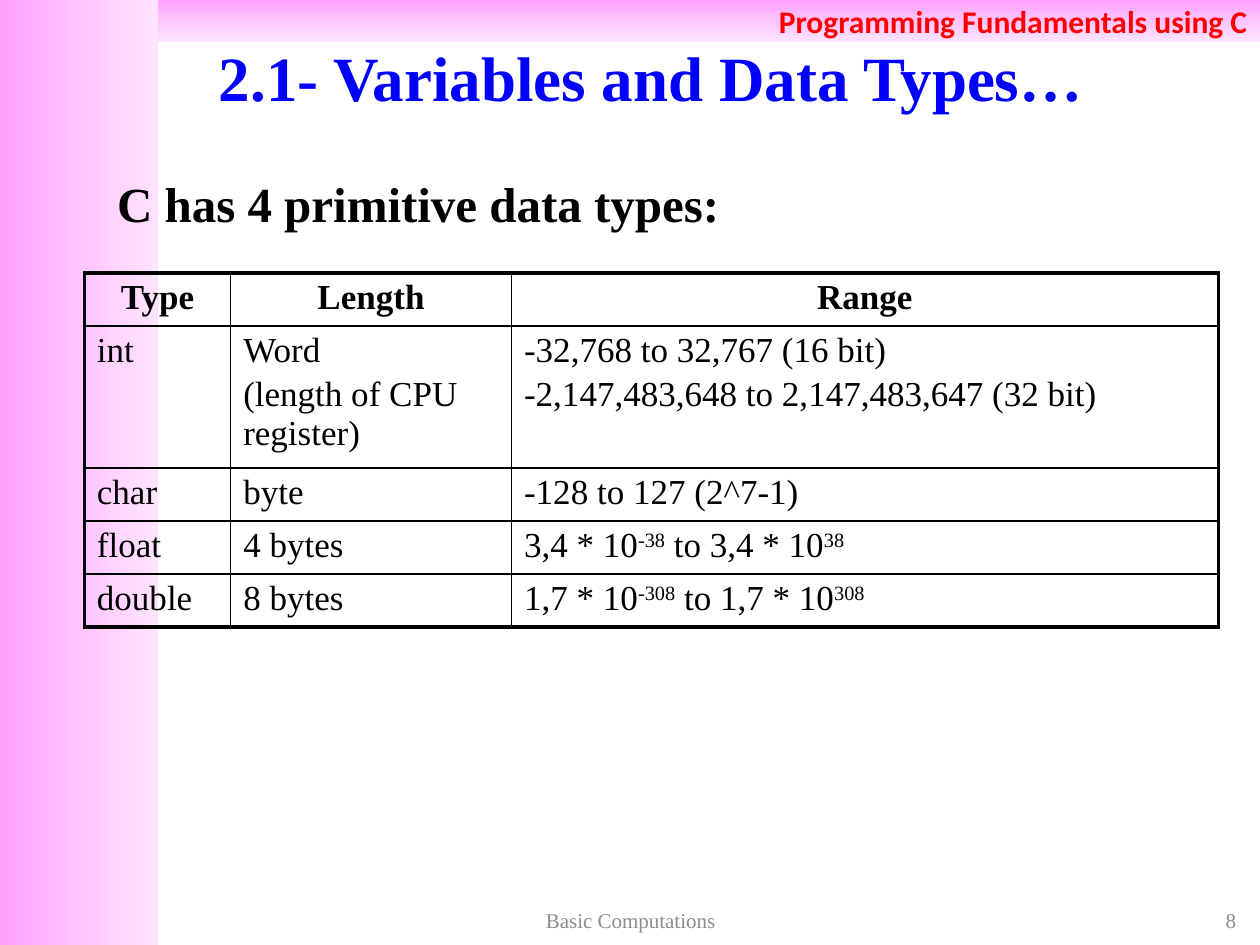
from copy import deepcopy

from lxml.etree import SubElement
from pptx import Presentation
from pptx.dml.color import RGBColor
from pptx.enum.shapes import MSO_SHAPE
from pptx.enum.text import MSO_ANCHOR, PP_ALIGN
from pptx.oxml.ns import qn
from pptx.util import Cm, Pt

BLACK = RGBColor(0x00, 0x00, 0x00)
BLUE = RGBColor(0x00, 0x00, 0xFF)
RED = RGBColor(0xFF, 0x00, 0x00)
GREY = RGBColor(0x8C, 0x8C, 0x8C)
PINKS = [RGBColor(0xFF, 0xA0, 0xFF), RGBColor(0xFF, 0xC5, 0xFF), RGBColor(0xFF, 0xE3, 0xFF)]

SERIF = "Times New Roman"
HEADER = "Programming Fundamentals using C"
TITLE = "2.1- Variables and Data Types…"
STATEMENT = "C has 4 primitive data types:"
FOOTER = "Basic Computations"
PAGE_NUMBER = "8"

# A cell is a list of paragraphs; text between ^{ and } is raised.
TYPE_ROWS = [
    (["Type"], ["Length"], ["Range"]),
    (["int"], ["Word", "(length of CPU register)"],
     ["-32,768 to 32,767 (16 bit)", "-2,147,483,648 to 2,147,483,647 (32 bit)"]),
    (["char"], ["byte"], ["-128 to 127 (2^7-1)"]),
    (["float"], ["4 bytes"], ["3,4 * 10^{-38} to 3,4 * 10^{38}"]),
    (["double"], ["8 bytes"], ["1,7 * 10^{-308} to 1,7 * 10^{308}"]),
]
COLUMN_WIDTHS = [2.95, 5.66, 14.25]
ROW_HEIGHTS = [1.04, 2.74, 1.04, 1.04, 1.04]
SIDE_WIDTH, HEADER_HEIGHT = 3.18, 0.84
PAGE_WIDTH, PAGE_HEIGHT = 25.4, 19.05


def split_raised(text):
    """Yield (text, raised) pieces of a marked-up line."""
    for index, piece in enumerate(text.split("^{")):
        if index:
            raised, piece = piece.split("}", 1)
            yield raised, True
        if piece:
            yield piece, False


def write(frame, lines, size, font=SERIF, color=BLACK, bold=False,
          align=PP_ALIGN.LEFT, anchor=MSO_ANCHOR.TOP):
    frame.word_wrap = True
    frame.vertical_anchor = anchor
    for index, line in enumerate(lines):
        para = frame.add_paragraph() if index else frame.paragraphs[0]
        para.alignment = align
        if index:
            para.space_before = Pt(3)
        for text, raised in split_raised(line):
            span = para.add_run()
            span.text = text
            span.font.name = font
            span.font.size = Pt(size)
            span.font.bold = bold
            span.font.color.rgb = color
            if raised:
                span.font._element.set("baseline", "30000")


def add_text(page, place, text, size, **style):
    box = page.shapes.add_textbox(*map(Cm, place))
    write(box.text_frame, [text], size, **style)


def add_band(page, place, angle):
    band = page.shapes.add_shape(MSO_SHAPE.RECTANGLE, *map(Cm, place))
    band.shadow.inherit = False
    band.line.fill.background()
    band.fill.gradient()
    band.fill.gradient_angle = angle
    stop_list = band._element.spPr.find(".//" + qn("a:gsLst"))
    stop_list.insert(1, deepcopy(stop_list[0]))
    for stop, color, position in zip(band.fill.gradient_stops, PINKS, (0, 0.5, 1)):
        stop.color.rgb = color
        stop.position = position
    return band


def set_borders(cell, widths):
    """Draw black left, right, top and bottom borders, widths in points."""
    properties = cell._tc.get_or_add_tcPr()
    for index, (side, width) in enumerate(zip(("lnL", "lnR", "lnT", "lnB"), widths)):
        line = properties.makeelement(qn("a:" + side), {"w": str(Pt(width))})
        fill = SubElement(line, qn("a:solidFill"))
        SubElement(fill, qn("a:srgbClr"), val=str(BLACK))
        properties.insert(index, line)


def add_type_table(page, left, top):
    last_row, last_column = len(TYPE_ROWS) - 1, len(COLUMN_WIDTHS) - 1
    frame = page.shapes.add_table(
        last_row + 1, last_column + 1, Cm(left), Cm(top),
        Cm(sum(COLUMN_WIDTHS)), Cm(sum(ROW_HEIGHTS)))
    table = frame.table
    table.first_row = table.horz_banding = False
    for column, width in zip(table.columns, COLUMN_WIDTHS):
        column.width = Cm(width)
    for row, height in zip(table.rows, ROW_HEIGHTS):
        row.height = Cm(height)
    for r, row in enumerate(TYPE_ROWS):
        for c, lines in enumerate(row):
            cell = table.cell(r, c)
            cell.fill.background()
            cell.margin_top = cell.margin_bottom = Cm(0.11)
            write(cell.text_frame, lines, 20, bold=r == 0,
                  align=PP_ALIGN.LEFT if r else PP_ALIGN.CENTER)
            outer = (c == 0, c == last_column, r == 0, r == last_row)
            set_borders(cell, [2.25 if edge else 1 for edge in outer])


def main():
    deck = Presentation()
    deck.slide_width, deck.slide_height = Cm(PAGE_WIDTH), Cm(PAGE_HEIGHT)
    page = deck.slides.add_slide(deck.slide_layouts[6])

    add_band(page, (0, 0, SIDE_WIDTH, PAGE_HEIGHT), 0)
    header = add_band(page, (SIDE_WIDTH, 0, PAGE_WIDTH - SIDE_WIDTH, HEADER_HEIGHT), 270)
    write(header.text_frame, [HEADER], 18, font="Calibri", color=RED, bold=True,
          align=PP_ALIGN.RIGHT, anchor=MSO_ANCHOR.MIDDLE)

    add_text(page, (2.11, 0.76, 22.02, 1.57), TITLE, 36, color=BLUE, bold=True,
             align=PP_ALIGN.CENTER, anchor=MSO_ANCHOR.MIDDLE)
    add_text(page, (2.11, 3.38, 21.79, 1.47), STATEMENT, 28, bold=True,
             align=PP_ALIGN.JUSTIFY)
    add_type_table(page, 1.7, 5.5)

    footer_style = {"color": GREY, "anchor": MSO_ANCHOR.MIDDLE}
    add_text(page, (19.25, 18.21, 5.92, 0.69), PAGE_NUMBER, 12,
             align=PP_ALIGN.RIGHT, **footer_style)
    add_text(page, (8.69, 18.21, 8.05, 0.69), FOOTER, 12,
             align=PP_ALIGN.CENTER, **footer_style)
    deck.save("out.pptx")


if __name__ == "__main__":
    main()
